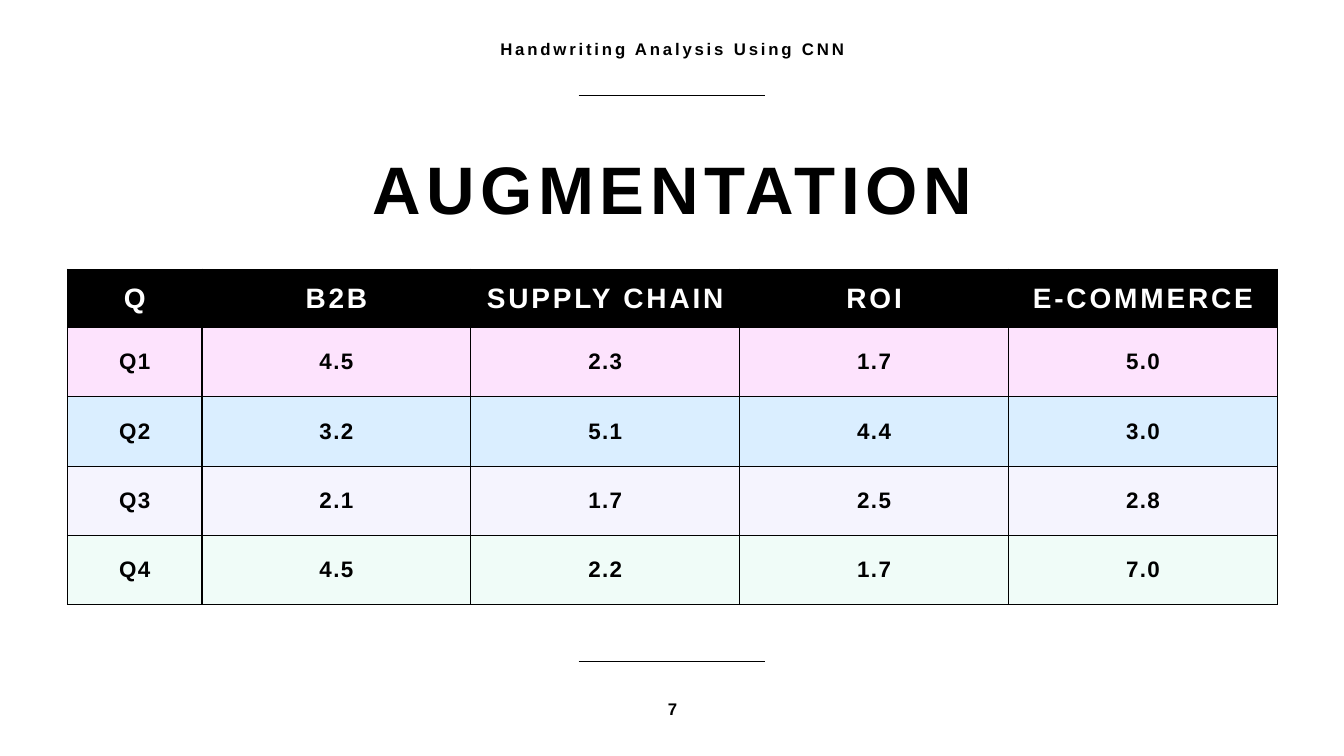
from lxml import etree
from pptx import Presentation
from pptx.dml.color import RGBColor
from pptx.enum.shapes import MSO_CONNECTOR
from pptx.enum.text import MSO_ANCHOR, PP_ALIGN
from pptx.oxml.ns import qn
from pptx.util import Inches, Pt

STRAIGHT = MSO_CONNECTOR.STRAIGHT
MIDDLE = MSO_ANCHOR.MIDDLE
CENTER = PP_ALIGN.CENTER

COLORS = {
    "ink": "000000",
    "paper": "FFFFFF",
    "pink": "FBA3FB",
    "blue": "B6DFFF",
    "lavender": "EDEBFE",
    "mint": "E3FBF3",
}
FONT = "Arial"
SLIDE_WIDTH, SLIDE_HEIGHT = 13.33, 7.5
RULE_WIDTH = 1.85

HEADINGS = ["Q", "B2B", "SUPPLY CHAIN", "ROI", "E-COMMERCE"]
QUARTERS = [
    (["Q1", "4.5", "2.3", "1.7", "5.0"], "pink", 30),
    (["Q2", "3.2", "5.1", "4.4", "3.0"], "blue", 50),
    (["Q3", "2.1", "1.7", "2.5", "2.8"], "lavender", 50),
    (["Q4", "4.5", "2.2", "1.7", "7.0"], "mint", 50),
]


def write(frame, text, size=12, color="ink", spacing=2, line_spacing=None):
    """Write one bold, centred, letter-spaced paragraph into a text frame."""
    paragraph = frame.paragraphs[0]
    paragraph.alignment = CENTER
    if line_spacing:
        paragraph.line_spacing = line_spacing
    run = paragraph.add_run()
    run.text = text
    run.font.name = FONT
    run.font.size = Pt(size)
    run.font.bold = True
    run.font.color.rgb = RGBColor.from_string(COLORS[color])
    run.font._element.set("spc", str(spacing * 100))


def add_label(slide, box, text, top_inset=0.05, bottom_inset=0.05, **style):
    """Add a vertically centred text box filling the given box."""
    frame = slide.shapes.add_textbox(*map(Inches, box)).text_frame
    frame.word_wrap = True
    frame.vertical_anchor = MIDDLE
    frame.margin_top, frame.margin_bottom = Inches(top_inset), Inches(bottom_inset)
    write(frame, text, **style)


def add_rule(slide, y):
    """Draw a short rule centred across the slide."""
    left = (SLIDE_WIDTH - RULE_WIDTH) / 2
    rule = slide.shapes.add_connector(
        STRAIGHT, Inches(left), Inches(y), Inches(left + RULE_WIDTH), Inches(y))
    rule.line.color.rgb = RGBColor.from_string(COLORS["ink"])
    rule.line.width = Pt(1)
    etree.SubElement(rule._element.spPr, qn("a:effectLst"))


def add_header(slide, box):
    """Place the running title with a rule along the bottom of the box."""
    add_label(slide, box, "Handwriting Analysis Using CNN")
    add_rule(slide, box[1] + box[3])


def add_footer(slide, box):
    """Place the page number with a rule along the top of the box."""
    add_rule(slide, box[1])
    add_label(slide, box, "7")


def paint_cell(cell, color, opacity):
    """Fill a table cell and outline all four of its sides."""
    cell.fill.solid()
    cell.fill.fore_color.rgb = RGBColor.from_string(COLORS[color])
    properties = cell._tc.get_or_add_tcPr()
    if opacity < 100:
        tint = properties.find(".//" + qn("a:srgbClr"))
        etree.SubElement(tint, qn("a:alpha"), val=str(opacity * 1000))
    for position, side in enumerate(("lnL", "lnR", "lnT", "lnB")):
        border = etree.Element(qn("a:" + side), w=str(Pt(1)))
        fill = etree.SubElement(border, qn("a:solidFill"))
        etree.SubElement(fill, qn("a:srgbClr"), val=COLORS["ink"])
        properties.insert(position, border)


def add_quarter_table(slide, box):
    """Build the quarterly table, its first column half as wide as the rest."""
    rows = [(HEADINGS, "ink", 100)] + QUARTERS
    table = slide.shapes.add_table(
        len(rows), len(HEADINGS), *map(Inches, box)).table
    unit = box[2] / (2 * len(HEADINGS) - 1)
    header_height = 0.58
    quarter_height = (box[3] - header_height) / len(QUARTERS)
    for index, column in enumerate(table.columns):
        column.width = Inches(unit if index == 0 else 2 * unit)
    for index, (values, color, opacity) in enumerate(rows):
        is_header = index == 0
        table.rows[index].height = Inches(header_height if is_header else quarter_height)
        for cell, value in zip(table.rows[index].cells, values):
            cell.vertical_anchor = MIDDLE
            paint_cell(cell, color, opacity)
            write(cell.text_frame, value,
                  size=20 if is_header else 16,
                  color="paper" if is_header else "ink",
                  spacing=2 if is_header else 1)


def main():
    """Build and save the slide."""
    deck = Presentation()
    deck.slide_width, deck.slide_height = Inches(SLIDE_WIDTH), Inches(SLIDE_HEIGHT)
    slide = deck.slides.add_slide(deck.slide_layouts[6])
    add_header(slide, (4.42, 0.01, 4.5, 0.94))
    add_label(slide, (0.67, 0.95, 12, 1.72), "AUGMENTATION", top_inset=0.2,
              bottom_inset=0, size=48, spacing=4, line_spacing=0.9)
    add_quarter_table(slide, (0.67, 2.67, 12, 3.33))
    add_footer(slide, (4.42, 6.56, 4.5, 0.94))
    deck.save("out.pptx")


if __name__ == "__main__":
    main()
